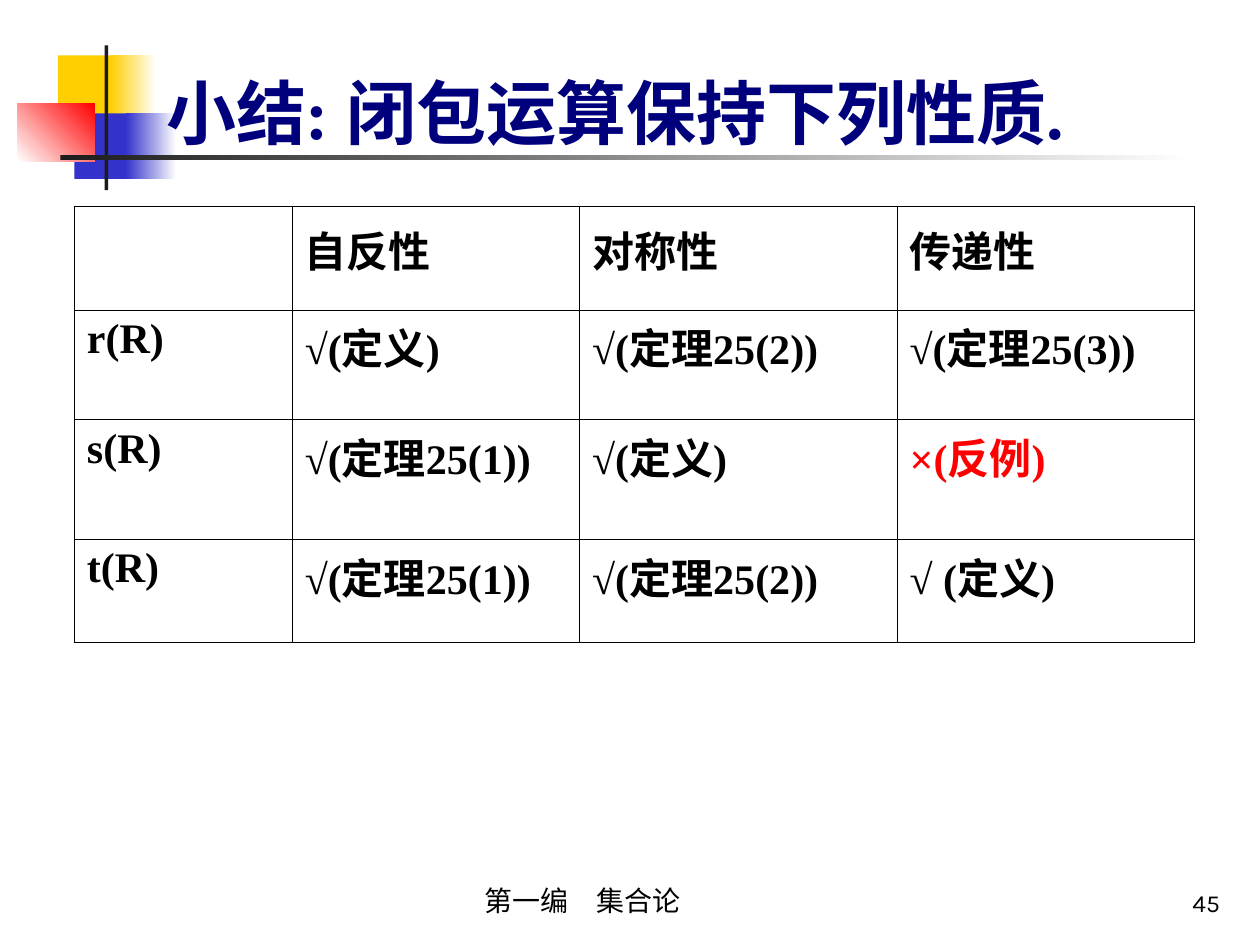
from lxml.etree import SubElement
from pptx import Presentation
from pptx.dml.color import RGBColor
from pptx.enum.shapes import MSO_SHAPE
from pptx.enum.text import MSO_ANCHOR, PP_ALIGN
from pptx.oxml.ns import qn
from pptx.util import Inches, Pt

BLACK = RGBColor(0x00, 0x00, 0x00)
WHITE = RGBColor(0xFF, 0xFF, 0xFF)
CHARCOAL = RGBColor(0x1C, 0x1C, 0x1C)
YELLOW = RGBColor(0xFF, 0xCF, 0x01)
BLUE = RGBColor(0x33, 0x33, 0xCC)
RED = RGBColor(0xFF, 0x00, 0x00)
NAVY = RGBColor(0x00, 0x00, 0x7D)

SERIF = "Times New Roman"
SANS = "Karla"
OUTER_LINE, INNER_LINE = 1.08, 0.45

COLUMN_WIDTHS = [1.73, 2.28, 2.52, 2.36]
ROW_HEIGHTS = [0.82, 0.87, 0.95, 0.82]
CLOSURE_TABLE = [
    ["", "自反性", "对称性", "传递性"],
    ["r(R)", "√(定义)", "√(定理25(2))", "√(定理25(3))"],
    ["s(R)", "√(定理25(1))", "√(定义)", "×(反例)"],
    ["t(R)", "√(定理25(1))", "√(定理25(2))", "√ (定义)"],
]


def add_block(slide, box, start, end=None, angle=0):
    """Add a borderless rectangle, plain or fading from start to end."""
    shape = slide.shapes.add_shape(MSO_SHAPE.RECTANGLE, *map(Inches, box))
    shape.shadow.inherit = False
    shape.line.fill.background()
    if end is None:
        shape.fill.solid()
        shape.fill.fore_color.rgb = start
        return
    shape.fill.gradient()
    shape.fill.gradient_angle = angle
    for stop, color in zip(shape.fill.gradient_stops, (start, end)):
        stop.color.rgb = color


def add_ornament(slide):
    add_block(slide, (0.46, 0.44, 0.48, 0.52), YELLOW)
    add_block(slide, (0.88, 0.44, 0.36, 0.52), YELLOW, WHITE)
    add_block(slide, (0.59, 0.9, 0.46, 0.52), BLUE)
    add_block(slide, (1, 0.9, 0.4, 0.52), BLUE, WHITE)
    add_block(slide, (0.14, 0.82, 0.61, 0.46), WHITE, RED, angle=45)
    add_block(slide, (0.83, 0.36, 0.03, 1.15), CHARCOAL)
    add_block(slide, (0.48, 1.23, 9, 0.04), CHARCOAL, WHITE)


def style_paragraph(paragraph, size, color=BLACK, name=SERIF, bold=False,
                    spacing=1.0, before=0):
    paragraph.line_spacing = spacing
    paragraph.space_before = Pt(before)
    font = paragraph.font
    font.size, font.name, font.bold = Pt(size), name, bold
    font.color.rgb = color


def add_text(slide, box, text, anchor=MSO_ANCHOR.BOTTOM,
             align=PP_ALIGN.LEFT, **style):
    frame = slide.shapes.add_textbox(*map(Inches, box)).text_frame
    frame.word_wrap = True
    frame.vertical_anchor = anchor
    paragraph = frame.paragraphs[0]
    paragraph.text = text
    paragraph.alignment = align
    style_paragraph(paragraph, **style)


def set_borders(cell, widths):
    """Draw black cell borders; widths maps L, R, T and B to points."""
    properties = cell._tc.get_or_add_tcPr()
    for side, width in widths.items():
        line = SubElement(properties, qn(f"a:ln{side}"), w=str(Pt(width)))
        fill = SubElement(line, qn("a:solidFill"))
        SubElement(fill, qn("a:srgbClr"), val=str(BLACK))


def add_closure_table(slide, left, top):
    row_count, column_count = len(ROW_HEIGHTS), len(COLUMN_WIDTHS)
    table = slide.shapes.add_table(
        row_count, column_count, Inches(left), Inches(top),
        Inches(sum(COLUMN_WIDTHS)), Inches(sum(ROW_HEIGHTS))).table
    table.first_row = table.horz_banding = False
    for column, width in zip(table.columns, COLUMN_WIDTHS):
        column.width = Inches(width)
    for row, height in zip(table.rows, ROW_HEIGHTS):
        row.height = Inches(height)
    for row_index, texts in enumerate(CLOSURE_TABLE):
        for column_index, text in enumerate(texts):
            cell = table.cell(row_index, column_index)
            on_edge = {"L": column_index == 0,
                       "R": column_index == column_count - 1,
                       "T": row_index == 0,
                       "B": row_index == row_count - 1}
            set_borders(cell, {side: OUTER_LINE if outer else INNER_LINE
                               for side, outer in on_edge.items()})
            cell.fill.background()
            paragraph = cell.text_frame.paragraphs[0]
            paragraph.text = text
            style_paragraph(paragraph, 24, bold=True, before=6,
                            color=RED if text.startswith("×") else BLACK,
                            spacing=1.1 if row_index == 0 else 1.0)


def main():
    presentation = Presentation()
    presentation.slide_width, presentation.slide_height = Inches(10), Inches(7.5)
    slide = presentation.slides.add_slide(presentation.slide_layouts[6])
    add_ornament(slide)
    add_text(slide, (7.7, 6.83, 2.08, 0.5), "45", align=PP_ALIGN.RIGHT,
             size=14, name=SANS)
    add_text(slide, (3.75, 6.83, 3.17, 0.5), "第一编　集合论",
             size=16, spacing=1.1, before=4)
    add_closure_table(slide, 0.59, 1.64)
    add_text(slide, (1.22, 0.44, 8.35, 0.84), "小结: 闭包运算保持下列性质.",
             anchor=MSO_ANCHOR.TOP, size=40, color=NAVY, bold=True,
             spacing=1.1, before=10)
    presentation.save("out.pptx")


if __name__ == "__main__":
    main()
